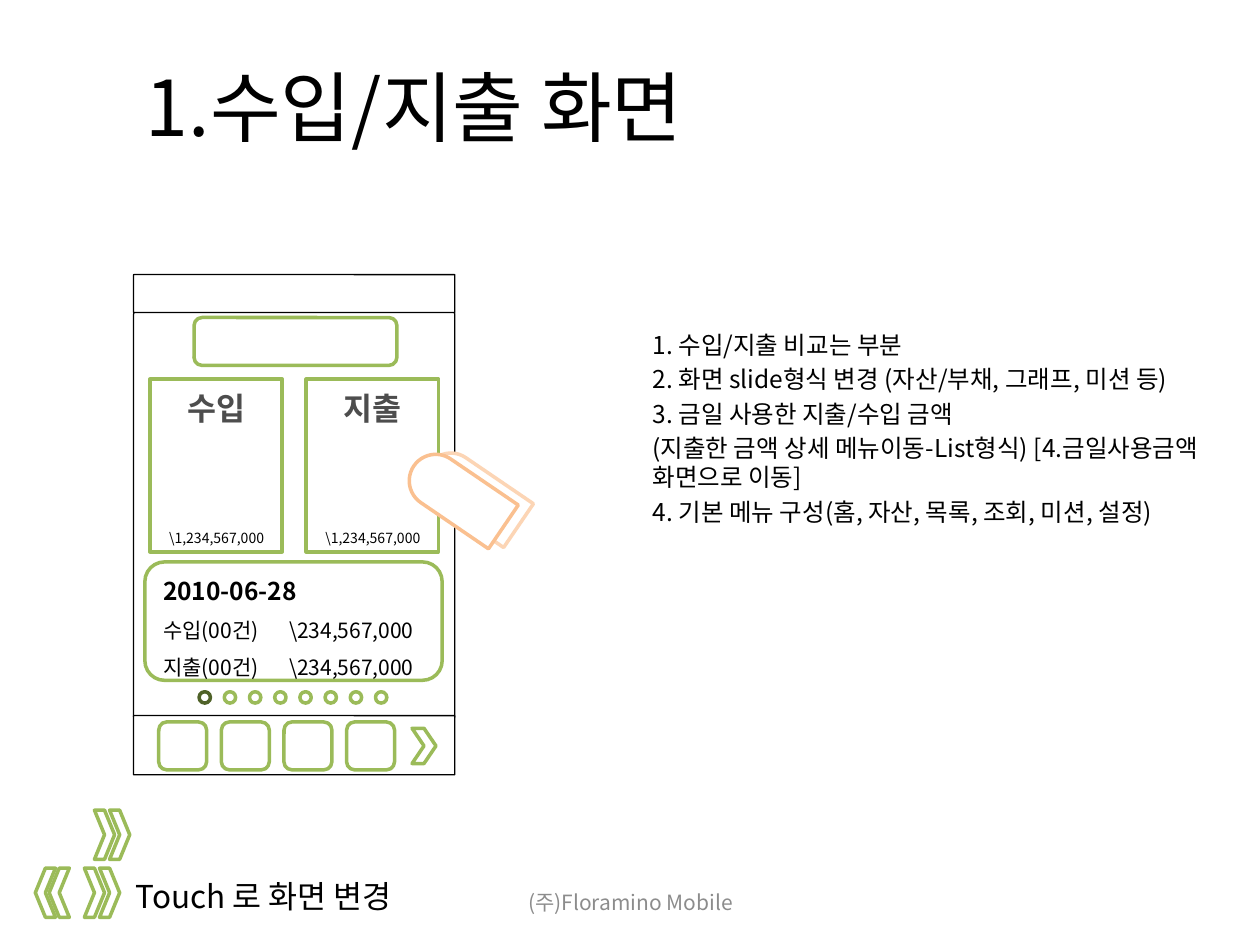
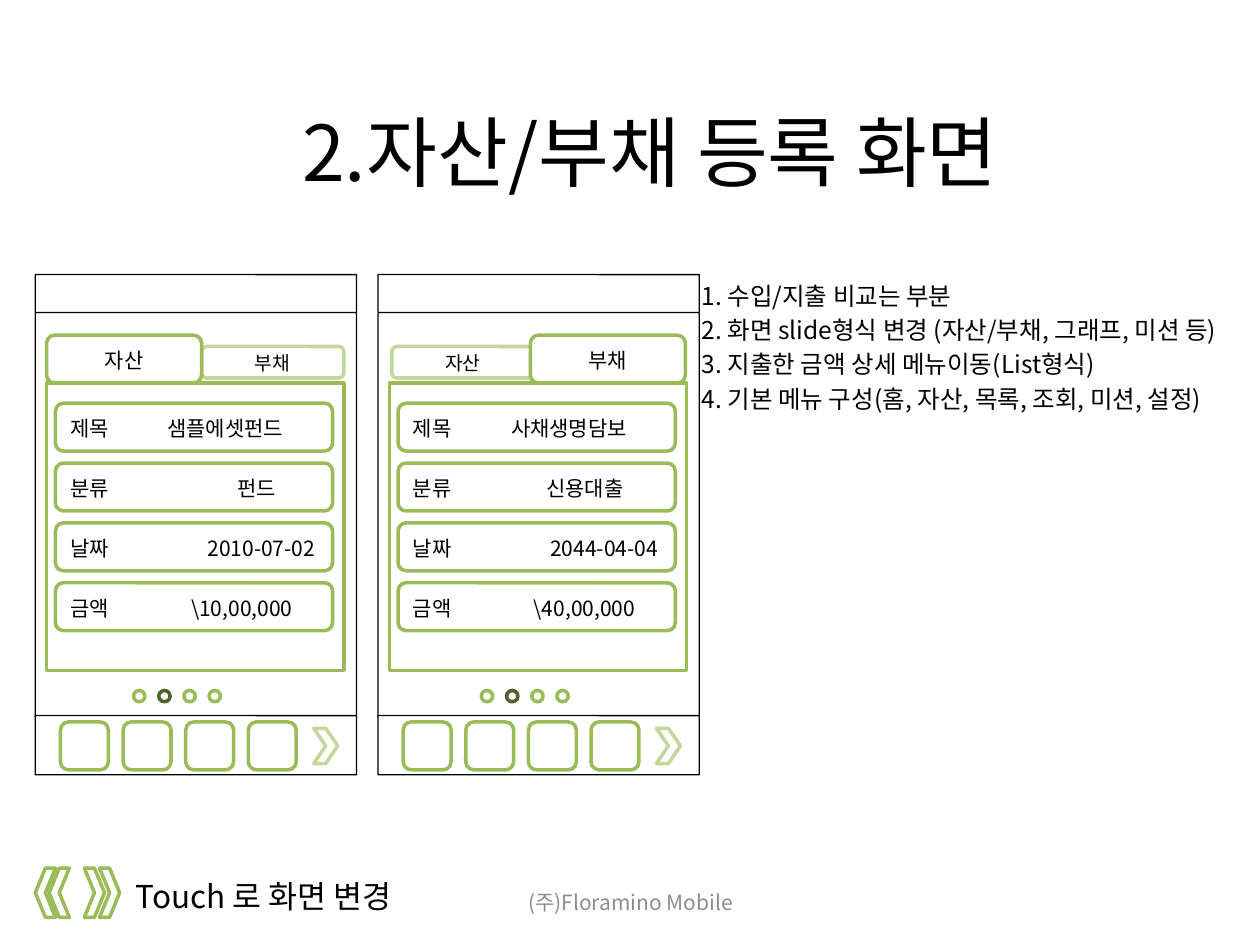
from dataclasses import dataclass

from lxml.etree import SubElement
from pptx import Presentation
from pptx.dml.color import RGBColor
from pptx.enum.shapes import MSO_SHAPE
from pptx.enum.text import MSO_ANCHOR, PP_ALIGN
from pptx.oxml.ns import qn
from pptx.util import Inches, Pt


@dataclass(frozen=True)
class Theme:
    font: str = "Noto Sans CJK KR"
    paper: str = "FFFFFF"
    ink: str = "000000"
    heading: str = "4D4D4D"
    footer: str = "8C8C8C"
    green: str = "9BBB59"
    pale_green: str = "C3D69B"
    dark_green: str = "4F6228"
    finger: str = "FAC090"
    finger_trail: str = "FCD5B5"
    title_size: float = 44
    label_size: float = 18
    note_size: float = 14
    body_size: float = 12
    idle_tab_size: float = 11
    amount_size: float = 8
    outline: float = 2
    frame_outline: float = 0.75
    leading: float = 1.3
    note_leading: float = 1.2
    summary_leading: float = 1.76


THEME = Theme()
PHONE_TOP = 2.18
PHONE_WIDTH = 2.55
BUTTON_SIZE = 0.38


def apply_format(target, values):
    for attribute, value in values.items():
        setattr(target, attribute, value)


def add_tab_stop(paragraph, position):
    properties = paragraph._p.get_or_add_pPr()
    stops = SubElement(properties, qn("a:tabLst"))
    SubElement(stops, qn("a:tab"), pos=str(Inches(position)), algn="l")


def write_line(paragraph, wording, size=THEME.body_size, color=THEME.ink, bold=False,
               align=PP_ALIGN.LEFT, leading=THEME.leading, before=0, tab=None):
    apply_format(paragraph, {
        "alignment": align,
        "line_spacing": Pt(size * leading),
        "space_before": Pt(before),
    })
    if tab is not None:
        add_tab_stop(paragraph, tab)
    run = paragraph.add_run()
    run.text = wording
    apply_format(run.font, {"name": THEME.font, "size": Pt(size), "bold": bold})
    run.font.color.rgb = RGBColor.from_string(color)
    SubElement(run._r.get_or_add_rPr(), qn("a:ea"), typeface=THEME.font)


def write_lines(frame, lines, anchor=MSO_ANCHOR.TOP, wrap=True):
    apply_format(frame, {"vertical_anchor": anchor, "word_wrap": wrap})
    for index, (wording, style) in enumerate(lines):
        paragraph = frame.add_paragraph() if index else frame.paragraphs[0]
        write_line(paragraph, wording, **style)


def add_text(slide, box, lines, **layout):
    label = slide.shapes.add_textbox(*map(Inches, box))
    write_lines(label.text_frame, lines, **layout)


def add_outline(slide, kind, box, color=THEME.green, width=THEME.outline,
                filled=True, rotation=0, adjustments=()):
    outline = slide.shapes.add_shape(kind, *map(Inches, box))
    outline.shadow.inherit = False
    outline.rotation = rotation
    for index, value in enumerate(adjustments):
        outline.adjustments[index] = value
    if filled:
        outline.fill.solid()
        outline.fill.fore_color.rgb = RGBColor.from_string(THEME.paper)
    else:
        outline.fill.background()
    outline.line.color.rgb = RGBColor.from_string(color)
    outline.line.width = Pt(width)
    return outline


def add_title(slide, left, top, wording, align):
    add_text(slide, (left, top, 8.5, 1.61),
             [(wording, {"size": THEME.title_size, "align": align})],
             anchor=MSO_ANCHOR.MIDDLE)


def add_arrows(slide, left, top, rotation=0):
    for step in range(2):
        add_outline(slide, MSO_SHAPE.CHEVRON, (left + 0.12 * step, top, 0.16, 0.39),
                    rotation=rotation)


def add_touch_footer(slide):
    add_arrows(slide, 0.67, 6.89)
    for left in (0.39, 0.28):
        add_outline(slide, MSO_SHAPE.CHEVRON, (left, 6.89, 0.16, 0.39), rotation=180)
    add_text(slide, (0.98, 6.89, 2.49, 0.4),
             [("Touch 로 화면 변경", {"size": THEME.label_size})], wrap=False)
    add_text(slide, (3.42, 6.95, 3.17, 0.4),
             [("(주)Floramino Mobile", {"color": THEME.footer, "align": PP_ALIGN.CENTER})],
             anchor=MSO_ANCHOR.MIDDLE)


def add_notes_list(slide, box, notes):
    style = {"size": THEME.note_size, "leading": THEME.note_leading, "before": 2.8}
    add_text(slide, box, [(note, style) for note in notes])


def add_phone(slide, left, more_color):
    for top, height in ((2.47, 3.24), (5.68, 0.47), (PHONE_TOP, 0.3)):
        add_outline(slide, MSO_SHAPE.ROUNDED_RECTANGLE, (left, top, PHONE_WIDTH, height),
                    THEME.ink, THEME.frame_outline, adjustments=[0.01])
    for index in range(4):
        add_outline(slide, MSO_SHAPE.ROUNDED_RECTANGLE,
                    (left + 0.2 + 0.497 * index, 5.73, BUTTON_SIZE, BUTTON_SIZE))
    add_outline(slide, MSO_SHAPE.CHEVRON, (left + 2.21, 5.78, 0.19, 0.28), more_color)


def add_page_dots(slide, left, top, count, current):
    for index in range(count):
        color = THEME.dark_green if index == current else THEME.green
        add_outline(slide, MSO_SHAPE.OVAL, (left + 0.2 * index, top, 0.09, 0.09), color)


def add_total_card(slide, left, heading, amount):
    card = add_outline(slide, MSO_SHAPE.RECTANGLE, (left, 3.01, 1.05, 1.37))
    write_lines(card.text_frame, [(heading, {
        "size": THEME.label_size, "color": THEME.heading,
        "bold": True, "align": PP_ALIGN.CENTER})])
    add_text(slide, (left + 0.04, 4.14, 0.98, 0.24),
             [(amount, {"size": THEME.amount_size, "align": PP_ALIGN.CENTER})], wrap=False)


def add_day_summary(slide, day, entries):
    summary = add_outline(slide, MSO_SHAPE.ROUNDED_RECTANGLE, (1.15, 4.46, 2.36, 0.94))
    leading = THEME.summary_leading
    lines = [(day, {"size": THEME.note_size, "bold": True, "leading": leading})]
    lines += [(f"{name}\t{amount}", {"leading": leading, "tab": 1})
              for name, amount in entries]
    write_lines(summary.text_frame, lines, anchor=MSO_ANCHOR.MIDDLE)


def add_finger(slide):
    for left, top, color in ((3.55, 3.5, THEME.finger_trail), (3.43, 3.51, THEME.finger)):
        add_outline(slide, MSO_SHAPE.ROUND_2_SAME_RECTANGLE, (left, top, 0.42, 0.86), color,
                    rotation=304.3, adjustments=[0.5, 0])


def add_tab(slide, left, wording, active):
    if active:
        box, color, size = (left, 2.66, 1.23, 0.38), THEME.green, THEME.body_size
    else:
        box, color, size = (left, 2.75, 1.13, 0.25), THEME.pale_green, THEME.idle_tab_size
    tab = add_outline(slide, MSO_SHAPE.ROUNDED_RECTANGLE, box, color, filled=active)
    write_lines(tab.text_frame, [(wording, {"size": size, "align": PP_ALIGN.CENTER})],
                anchor=MSO_ANCHOR.MIDDLE)


def add_entry_form(slide, left, tabs, entries, dots_offset):
    add_phone(slide, left, THEME.pale_green)
    add_outline(slide, MSO_SHAPE.RECTANGLE, (left + 0.09, 3.04, 2.36, 2.28))
    for offset, wording, active in tabs:
        add_tab(slide, left + offset, wording, active)
    for index, (field, value, indent) in enumerate(entries):
        row = add_outline(slide, MSO_SHAPE.ROUNDED_RECTANGLE,
                          (left + 0.16, 3.2 + 0.475 * index, 2.2, 0.38))
        write_lines(row.text_frame, [(f"{field}\t{value}", {"tab": indent})],
                    anchor=MSO_ANCHOR.MIDDLE)
    add_page_dots(slide, left + dots_offset, 5.48, 4, current=1)


def build_income_slide(slide):
    add_title(slide, 1.06, 0, "1.수입/지출 화면", PP_ALIGN.LEFT)
    add_arrows(slide, 0.75, 6.43)
    add_touch_footer(slide)
    add_phone(slide, 1.06, THEME.green)
    add_outline(slide, MSO_SHAPE.ROUNDED_RECTANGLE, (1.54, 2.52, 1.61, 0.38))
    for left, heading in ((1.19, "수입"), (2.43, "지출")):
        add_total_card(slide, left, heading, "\\1,234,567,000")
    add_page_dots(slide, 1.58, 5.49, 8, current=0)
    add_day_summary(slide, "2010-06-28", [
        ("수입(00건)", "\\234,567,000"),
        ("지출(00건)", "\\234,567,000"),
    ])
    add_notes_list(slide, (5.08, 2.57, 4.65, 3.7), [
        "1. 수입/지출 비교는 부분",
        "2. 화면 slide형식 변경 (자산/부채, 그래프, 미션 등)",
        "3. 금일 사용한 지출/수입 금액",
        "(지출한 금액 상세 메뉴이동-List형식) [4.금일사용금액 화면으로 이동]",
        "4. 기본 메뉴 구성(홈, 자산, 목록, 조회, 미션, 설정)",
    ])
    add_finger(slide)


def build_asset_slide(slide):
    add_title(slide, 0.91, 0.36, "2.자산/부채 등록 화면", PP_ALIGN.CENTER)
    add_touch_footer(slide)
    add_notes_list(slide, (5.47, 2.18, 4.41, 3.7), [
        "1. 수입/지출 비교는 부분",
        "2. 화면 slide형식 변경 (자산/부채, 그래프, 미션 등)",
        "3. 지출한 금액 상세 메뉴이동(List형식)",
        "4. 기본 메뉴 구성(홈, 자산, 목록, 조회, 미션, 설정)",
    ])
    add_entry_form(
        slide, 3, [(0.11, "자산", False), (1.21, "부채", True)],
        [("제목", "사채생명담보", 0.78), ("분류", "신용대출", 1.06),
         ("날짜", "2044-04-04", 1.09), ("금액", "\\40,00,000", 0.96)],
        dots_offset=0.82)
    add_entry_form(
        slide, 0.28, [(1.32, "부채", False), (0.09, "자산", True)],
        [("제목", "샘플에셋펀드", 0.77), ("분류", "펀드", 1.33),
         ("날짜", "2010-07-02", 1.09), ("금액", "\\10,00,000", 0.96)],
        dots_offset=0.78)


def main():
    deck = Presentation()
    apply_format(deck, {"slide_width": Inches(10), "slide_height": Inches(7.5)})
    for build in (build_income_slide, build_asset_slide):
        build(deck.slides.add_slide(deck.slide_layouts[6]))
    deck.save("out.pptx")


if __name__ == "__main__":
    main()
